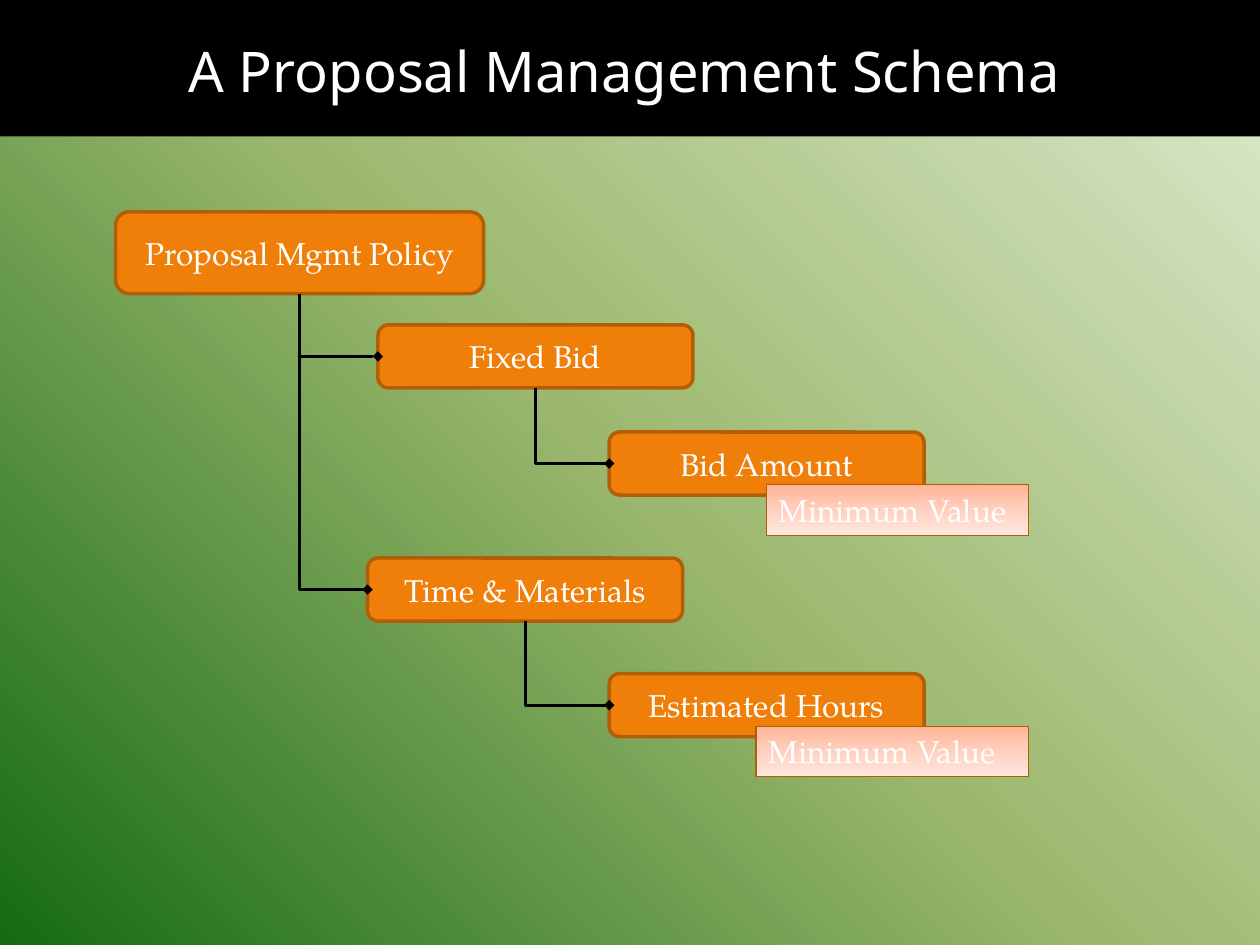
from lxml import etree
from pptx import Presentation
from pptx.dml.color import RGBColor
from pptx.enum import shapes, text
from pptx.oxml.ns import qn
from pptx.util import Cm, Pt

TITLE = "A Proposal Management Schema"
COLORS = {"bar": "000000", "box": "F07F09", "edge": "B25E07", "text": "FFFFFF", "link": "000000"}
BACKDROP = [(0, "DDEBCF"), (50, "9CB86E"), (100, "156B13")]
TAG_FILL = [(0, "FFB496"), (50, "FFD0BF"), (100, "FFE7E0")]
HEAD_FONT, BODY_FONT = "Noto Sans", "TeX Gyre Pagella"
SMALL = (6.35, 1.27)
NODES = {
    "Proposal Mgmt Policy": (2.33, 4.27, 7.42, 1.65),
    "Fixed Bid": (7.62, 6.55, *SMALL),
    "Time & Materials": (7.41, 11.25, *SMALL),
    "Bid Amount": (12.28, 8.71, *SMALL),
    "Estimated Hours": (12.28, 13.58, *SMALL),
}
TAGS = [("Bid Amount", "Minimum Value", 5.29), ("Estimated Hours", "Minimum Value", 5.5)]
TAG_RIGHT, TAG_DROP, TAG_HEIGHT = 20.74, 1.06, 1.02
LINKS = [
    ("Proposal Mgmt Policy", "Time & Materials"),
    ("Proposal Mgmt Policy", "Fixed Bid"),
    ("Fixed Bid", "Bid Amount"),
    ("Time & Materials", "Estimated Hours"),
]


def rgb(name):
    return RGBColor.from_string(COLORS[name])


def set_gradient(fill, element, stops, angle):
    fill.gradient()
    fill.gradient_angle = 360 - angle
    gs_list = next(element.iter(qn("a:gsLst")))
    for gs in list(gs_list):
        gs_list.remove(gs)
    for pos, color in stops:
        gs = etree.SubElement(gs_list, qn("a:gs"), pos=str(pos * 1000))
        etree.SubElement(gs, qn("a:srgbClr"), val=color)


def write(sp, words, font, size, align, anchor):
    tf = sp.text_frame
    tf.word_wrap = True
    tf.vertical_anchor = anchor
    p = tf.paragraphs[0]
    p.alignment = align
    r = p.add_run()
    r.text = words
    r.font.name, r.font.size = font, Pt(size)
    r.font.color.rgb = rgb("text")


def add_box(s, kind, at, width=0):
    sp = s.shapes.add_shape(kind, *map(Cm, at))
    sp.shadow.inherit = False
    if width:
        sp.line.color.rgb = rgb("edge")
        sp.line.width = Pt(width)
    else:
        sp.line.fill.background()
    return sp


def fill_solid(sp, name):
    sp.fill.solid()
    sp.fill.fore_color.rgb = rgb(name)


def add_link(s, parent, child):
    x1, y1 = parent.left + parent.width // 2, parent.top + parent.height
    x2, y2 = child.left, child.top + child.height // 2
    c = s.shapes.add_connector(shapes.MSO_CONNECTOR.ELBOW, x1, y1, x2, y2)
    c.begin_connect(parent, 2)
    c.end_connect(child, 1)
    c.line.color.rgb = rgb("link")
    c.line.width = Pt(1.75)
    sp_pr = c._element.spPr
    sp_pr.find(qn("a:prstGeom")).set("prst", "bentConnector2")
    xfrm = sp_pr.find(qn("a:xfrm"))
    xfrm.set("rot", "16200000")
    xfrm.set("flipH", "1")
    c.width, c.height = y2 - y1, x2 - x1
    c.left = (x1 + x2 - c.width) // 2
    c.top = (y1 + y2 - c.height) // 2
    etree.SubElement(sp_pr.find(qn("a:ln")), qn("a:tailEnd"), type="diamond")
    etree.SubElement(sp_pr, qn("a:effectLst"))


def main():
    """Build the proposal management schema slide."""
    prs = Presentation()
    prs.slide_width, prs.slide_height = Cm(25.4), Cm(19.05)
    s = prs.slides.add_slide(prs.slide_layouts[5])
    set_gradient(s.background.fill, s._element, BACKDROP, 135)

    center, middle = text.PP_ALIGN.CENTER, text.MSO_ANCHOR.MIDDLE
    bar = add_box(s, shapes.MSO_SHAPE.RECTANGLE, (0, 0, 25.4, 2.75))
    fill_solid(bar, "bar")
    s.shapes._spTree.insert(2, bar._element)
    title = s.shapes.title
    title.left, title.top, title.width, title.height = map(Cm, (0.42, 0.42, 24.34, 1.98))
    write(title, TITLE, HEAD_FONT, 32, center, middle)

    boxes = {}
    for name, at in NODES.items():
        sp = boxes[name] = add_box(s, shapes.MSO_SHAPE.ROUNDED_RECTANGLE, at, 2)
        fill_solid(sp, "box")
        write(sp, name, BODY_FONT, 18, center, middle)

    for owner, words, width in TAGS:
        at = (TAG_RIGHT - width, NODES[owner][1] + TAG_DROP, width, TAG_HEIGHT)
        sp = add_box(s, shapes.MSO_SHAPE.RECTANGLE, at, 0.75)
        set_gradient(sp.fill, sp._element, TAG_FILL, 90)
        write(sp, words, BODY_FONT, 18, text.PP_ALIGN.LEFT, text.MSO_ANCHOR.TOP)
        sp.text_frame.auto_size = text.MSO_AUTO_SIZE.SHAPE_TO_FIT_TEXT

    for parent, child in LINKS:
        add_link(s, boxes[parent], boxes[child])

    prs.save("out.pptx")


if __name__ == "__main__":
    main()
